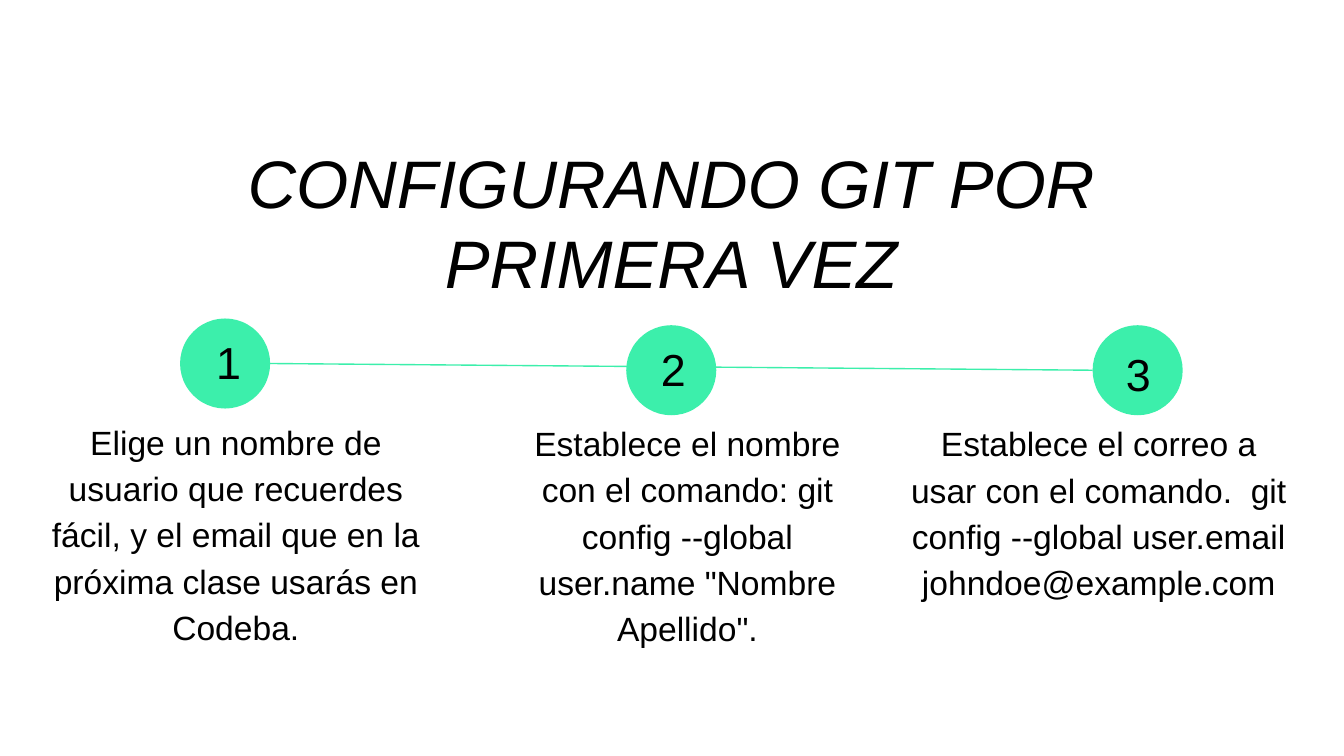
from lxml.etree import SubElement
from pptx import Presentation
from pptx.dml.color import RGBColor
from pptx.enum.shapes import MSO_CONNECTOR, MSO_SHAPE
from pptx.enum.text import MSO_ANCHOR, PP_ALIGN
from pptx.oxml.ns import qn
from pptx.util import Inches, Pt

COLORS = {"accent": "3CEFAB", "text": "000000", "background": "FFFFFF"}
INSET = 0.1
DIAMETER = 0.67

TITLE_FONT = {"name": "Arial", "size": Pt(36), "italic": True, "bold": False}
NUMBER_FONT = {"name": "Arial", "size": Pt(24)}
BODY_FONT = {"name": "Arial", "size": Pt(18)}

# Each step: circle corner, number offset inside the circle, description box
STEPS = [
    {"circle": (1.34, 2.37), "number": (0.17, 0.02), "box": (0.25, 3.37, 3.01, 1.17),
     "text": "Elige un nombre de usuario que recuerdes fácil, y el email "
             "que en la próxima clase usarás en Codeba."},
    {"circle": (4.66, 2.42), "number": (0.16, 0.02), "box": (3.81, 3.38, 2.61, 1.17),
     "text": "Establece el nombre con el comando: git config --global "
             "user.name \"Nombre Apellido\"."},
    {"circle": (8.13, 2.42), "number": (0.15, 0.06), "box": (6.67, 3.21, 3.01, 1.17),
     "text": "Establece el correo a usar con el comando.  git config --global "
             "user.email johndoe@example.com"},
]


def rgb(name):
    return RGBColor.from_string(COLORS[name])


def write(shape, text, font, align, anchor=MSO_ANCHOR.TOP, spacing=1.0):
    """Fill the shape's text frame with one formatted paragraph."""
    frame = shape.text_frame
    frame.word_wrap = True
    frame.vertical_anchor = anchor
    for side in ("left", "top", "right", "bottom"):
        setattr(frame, f"margin_{side}", Inches(INSET))
    paragraph = frame.paragraphs[0]
    paragraph.alignment = align
    paragraph.line_spacing = spacing
    paragraph.space_before = Pt(0)
    run = paragraph.add_run()
    run.text = text
    for attribute, value in font.items():
        setattr(run.font, attribute, value)
    run.font.color.rgb = rgb("text")


def add_title(slide, box):
    title = slide.shapes.title
    title.left, title.top, title.width, title.height = map(Inches, box)
    write(title, "CONFIGURANDO GIT POR PRIMERA VEZ", TITLE_FONT, PP_ALIGN.CENTER)


def add_timeline(slide, first, last):
    """Join the right edge of the first circle to the left edge of the last."""
    ends = (first[0] + DIAMETER, first[1] + DIAMETER / 2,
            last[0], last[1] + DIAMETER / 2)
    line = slide.shapes.add_connector(MSO_CONNECTOR.STRAIGHT, *map(Inches, ends))
    line.line.color.rgb = rgb("accent")
    line.line.width = Pt(0.75)
    SubElement(line._element.spPr, qn("a:effectLst"))


def add_step(slide, number, step):
    left, top = step["circle"]
    circle = slide.shapes.add_shape(
        MSO_SHAPE.OVAL, *map(Inches, (left, top, DIAMETER, DIAMETER)))
    circle.shadow.inherit = False
    circle.fill.solid()
    circle.fill.fore_color.rgb = rgb("accent")
    circle.line.fill.background()

    shift_x, shift_y = step["number"]
    label = slide.shapes.add_textbox(
        *map(Inches, (left + shift_x, top + shift_y, 0.3, 0.34)))
    write(label, str(number), NUMBER_FONT, PP_ALIGN.LEFT)

    description = slide.shapes.add_textbox(*map(Inches, step["box"]))
    write(description, step["text"], BODY_FONT, PP_ALIGN.CENTER,
          MSO_ANCHOR.MIDDLE, 1.15)


def main():
    presentation = Presentation()
    presentation.slide_width = Inches(10)
    presentation.slide_height = presentation.slide_width * 9 // 16
    slide = presentation.slides.add_slide(presentation.slide_layouts[5])
    slide.background.fill.solid()
    slide.background.fill.fore_color.rgb = rgb("background")

    add_title(slide, (1.43, 0.95, 7.13, 1.08))
    add_timeline(slide, STEPS[0]["circle"], STEPS[-1]["circle"])
    for number, step in enumerate(STEPS, start=1):
        add_step(slide, number, step)
    presentation.save("out.pptx")


if __name__ == "__main__":
    main()
